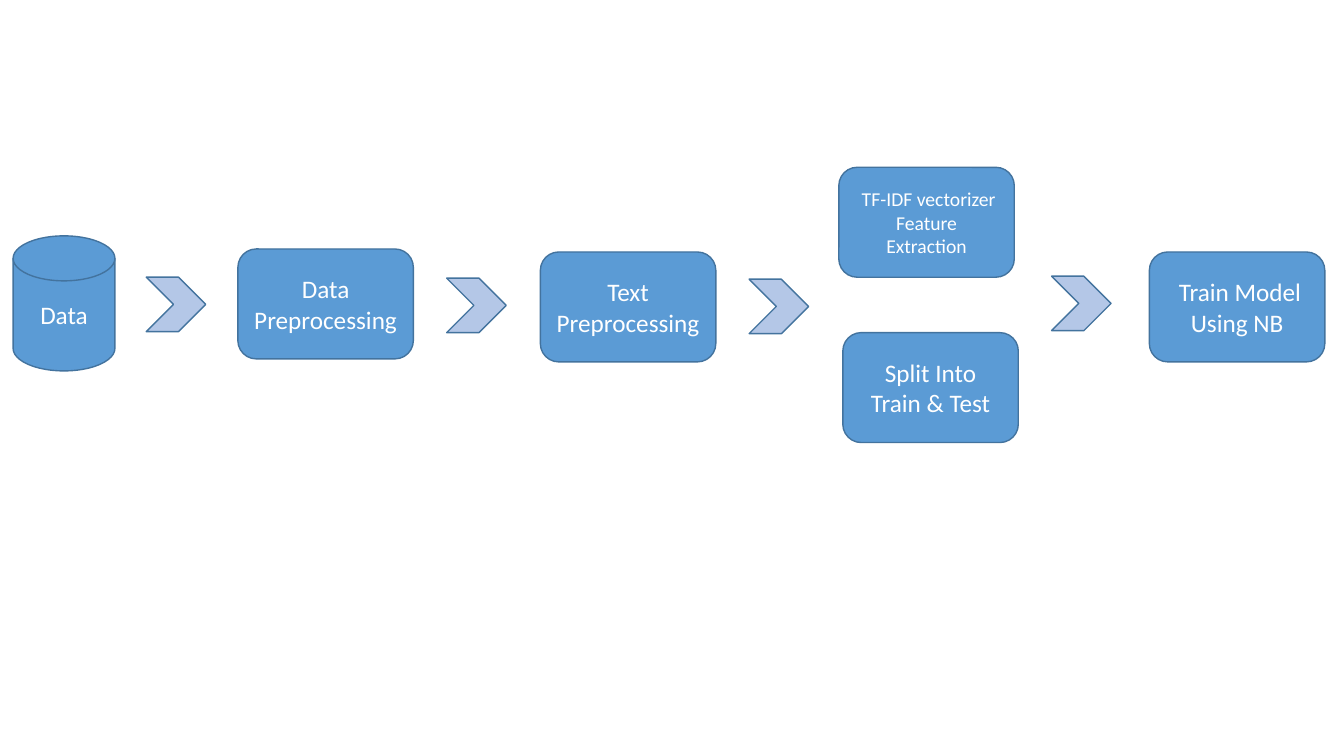
from dataclasses import dataclass

from pptx import Presentation
from pptx.dml.color import RGBColor
from pptx.enum.shapes import MSO_SHAPE
from pptx.enum.text import MSO_ANCHOR, PP_ALIGN
from pptx.util import Inches, Pt


@dataclass(frozen=True)
class Theme:
    """Colours, font and sizes used on the slide."""
    step_fill: RGBColor = RGBColor(0x5B, 0x9B, 0xD5)
    arrow_fill: RGBColor = RGBColor(0xB4, 0xC7, 0xE7)
    outline: RGBColor = RGBColor(0x43, 0x73, 0x9E)
    text: RGBColor = RGBColor(0xFF, 0xFF, 0xFF)
    font: str = "Calibri"
    label_size: int = 18
    detail_size: int = 14
    outline_width: int = 1


THEME = Theme()
STEP_SIZE = (1.74, 1.09)
ARROW_SIZE = (0.59, 0.54)
DISK_SIZE = (1.01, 1.34)

STEPS = [
    (2.36, 2.47, ["Data Preprocessing"], THEME.label_size),
    (5.36, 2.5, ["Text Preprocessing"], THEME.label_size),
    (8.32, 1.66, ["\u00a0TF-IDF vectorizer", "Feature Extraction"], THEME.detail_size),
    (8.36, 3.3, ["Split Into Train & Test"], THEME.label_size),
    (11.4, 2.5, [" Train Model", "Using NB"], THEME.label_size),
]
ARROWS = [(1.45, 2.75), (4.43, 2.76), (7.43, 2.77), (10.43, 2.74)]


def add_box(page, kind, position, size, fill):
    """Add an outlined preset shape without a shadow."""
    box = page.shapes.add_shape(kind, *map(Inches, position + size))
    box.shadow.inherit = False
    box.fill.solid()
    box.fill.fore_color.rgb = fill
    box.line.color.rgb = THEME.outline
    box.line.width = Pt(THEME.outline_width)
    return box


def write_text(box, lines, size=THEME.label_size, color=THEME.text,
               align=PP_ALIGN.CENTER):
    """Write one paragraph per line, centred vertically in the box."""
    frame = box.text_frame
    frame.word_wrap = True
    frame.vertical_anchor = MSO_ANCHOR.MIDDLE
    for index, line in enumerate(lines):
        para = frame.add_paragraph() if index else frame.paragraphs[0]
        para.alignment = align
        span = para.add_run()
        span.text = line
        span.font.name = THEME.font
        span.font.size = Pt(size)
        span.font.color.rgb = color


def add_source(page):
    """Add the data store that starts the flow."""
    disk = add_box(page, MSO_SHAPE.FLOWCHART_MAGNETIC_DISK, (0.13, 2.34),
                   DISK_SIZE, THEME.step_fill)
    write_text(disk, ["Data"])


def add_step(page, left, top, lines, size):
    """Add one rounded, labelled process step."""
    box = add_box(page, MSO_SHAPE.ROUNDED_RECTANGLE, (left, top),
                  STEP_SIZE, THEME.step_fill)
    write_text(box, lines, size=size)


def main():
    """Build the training pipeline slide."""
    deck = Presentation()
    deck.slide_width, deck.slide_height = Inches(13.33), Inches(7.5)
    blank_layout = deck.slide_layouts[6]
    page = deck.slides.add_slide(blank_layout)
    add_source(page)
    for step in STEPS:
        add_step(page, *step)
    for position in ARROWS:
        add_box(page, MSO_SHAPE.CHEVRON, position, ARROW_SIZE, THEME.arrow_fill)
    deck.save("out.pptx")


main()
